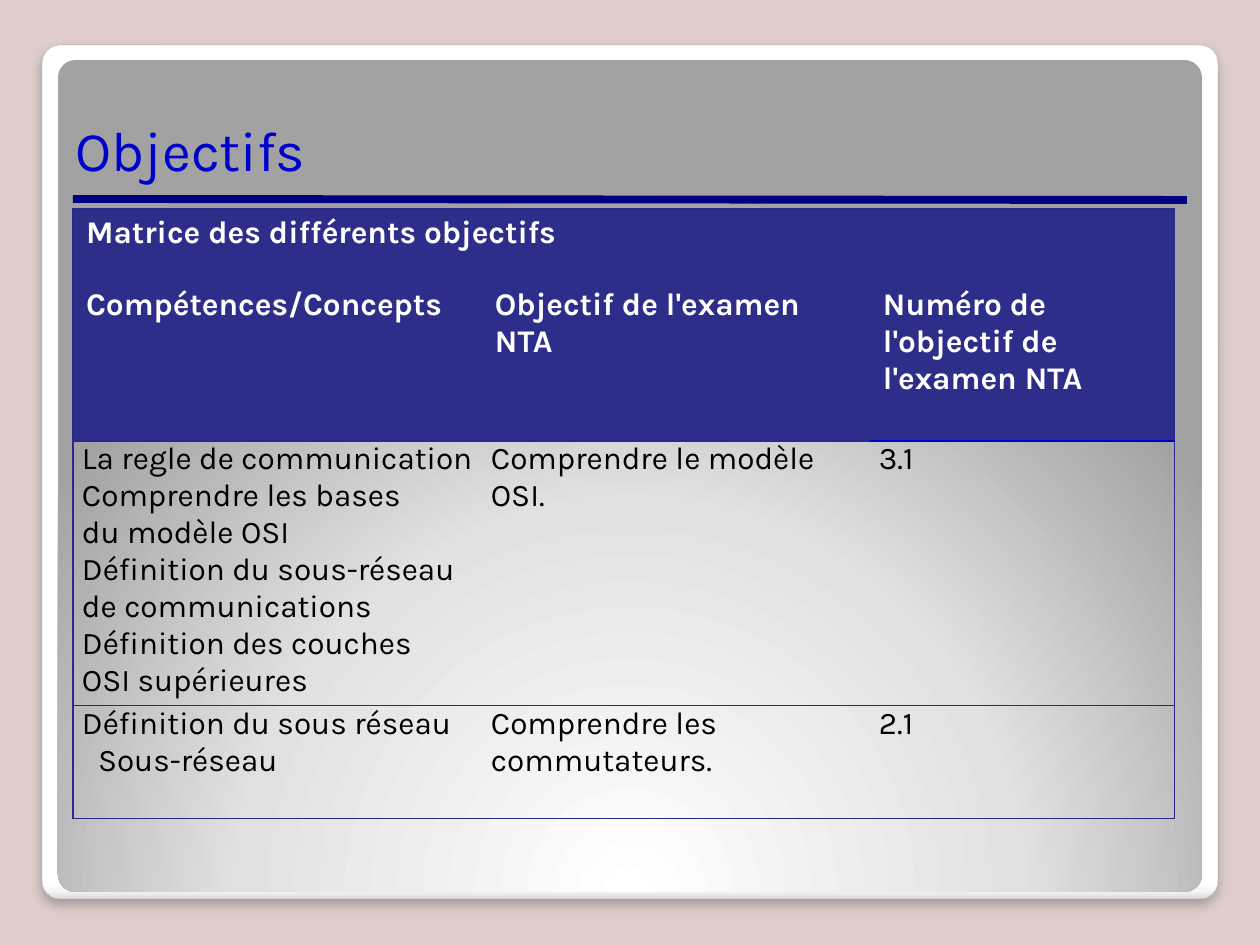
"""Build the objectives slide with its framed panel and matrix table."""
import lxml.etree
import pptx
import pptx.dml.color
import pptx.enum.shapes
import pptx.enum.text
import pptx.oxml.ns
import pptx.util

PX = 914400 / 126
FONT = "Karla"
HUES = {
    "back": "DECDCB", "white": "FFFFFF", "rim": "A4A4A4", "rule": "000080",
    "blue": "0000CC", "head": "2D2D8A", "edge": "292989", "text": "000000",
}
qn = pptx.oxml.ns.qn


def px(*nums):
    return [pptx.util.Emu(round(num * PX)) for num in nums]


def rgb(name):
    return pptx.dml.color.RGBColor.from_string(HUES[name])


deck = pptx.Presentation()
deck.slide_width, deck.slide_height = px(1260, 945)
slide = deck.slides.add_slide(deck.slide_layouts[6])
slide.background.fill.solid()
slide.background.fill.fore_color.rgb = rgb("back")

PANELS = [
    ((42, 45, 1176, 854),
     [(0, "FFFFFF"), (98, "FFFFFF"), (99, "F7F7F7"), (100, "DADADA")], False),
    ((58, 60, 1144, 832),
     [(0, "FFFFFF"), (55, "E1E1E1"), (100, "A2A2A2")], True),
]
for box, stops, round_fill in PANELS:
    panel = slide.shapes.add_shape(
        pptx.enum.shapes.MSO_SHAPE.ROUNDED_RECTANGLE, *px(*box))
    panel.adjustments[0] = 0.021
    panel.shadow.inherit = False
    panel.fill.gradient()
    props = panel._element.spPr
    grad = props.find(qn("a:gradFill"))
    for child in list(grad):
        grad.remove(child)
    ramp = lxml.etree.SubElement(grad, qn("a:gsLst"))
    for spot, hue in stops:
        stop = lxml.etree.SubElement(ramp, qn("a:gs"), pos=str(spot * 1000))
        lxml.etree.SubElement(stop, qn("a:srgbClr"), val=hue)
    if round_fill:
        panel.line.fill.background()
        way = lxml.etree.SubElement(grad, qn("a:path"), {"path": "circle"})
        lxml.etree.SubElement(way, qn("a:fillToRect"),
                              l="50000", t="175000", r="50000", b="-75000")
    else:
        panel.line.color.rgb = rgb("rim")
        panel.line.width = pptx.util.Pt(0.16)
        lxml.etree.SubElement(grad, qn("a:lin"), ang="5400000", scaled="0")
        shade = lxml.etree.SubElement(
            props.find(qn("a:effectLst")), qn("a:outerShdw"),
            blurRad=str(pptx.util.Pt(6)), dist=str(pptx.util.Pt(4)),
            dir="5400000", algn="t", rotWithShape="0")
        tint = lxml.etree.SubElement(shade, qn("a:srgbClr"), val=HUES["text"])
        lxml.etree.SubElement(tint, qn("a:alpha"), val="25000")

rule = slide.shapes.add_connector(
    pptx.enum.shapes.MSO_CONNECTOR.STRAIGHT, *px(73, 199, 1187, 200))
rule.line.color.rgb = rgb("rule")
rule.line.width = pptx.util.Pt(4.5)
lxml.etree.SubElement(rule._element.spPr, qn("a:effectLst"))

title = slide.shapes.add_textbox(*px(63, 63, 1134, 126)).text_frame
title.word_wrap = True
title.vertical_anchor = pptx.enum.text.MSO_ANCHOR.BOTTOM
title.text = "Objectifs"
font = title.paragraphs[0].runs[0].font
font.name, font.size = FONT, pptx.util.Pt(32)
font.color.rgb = rgb("blue")

ROWS = [
    ["Matrice des différents objectifs", "", ""],
    ["Compétences/Concepts", "Objectif de l'examen NTA",
     "Numéro de l'objectif de l'examen NTA"],
    ["La regle de communication\nComprendre les bases\n"
     "du modèle OSI \vDéfinition du sous-réseau de communications\n"
     "Définition des couches \vOSI supérieures",
     "Comprendre le modèle OSI.", "3.1"],
    ["Définition du sous réseau Sous-réseau",
     "Comprendre les commutateurs.", "2.1"],
]
WIDE = [409, 388, 305]
HIGH = [72, 160, 259, 113]
grid = slide.shapes.add_table(
    len(HIGH), len(WIDE), *px(73, 209, sum(WIDE), sum(HIGH))).table
grid.first_row = grid.horz_banding = False
for col, size in zip(grid.columns, px(*WIDE)):
    col.width = size
for row, size in zip(grid.rows, px(*HIGH)):
    row.height = size
grid.cell(0, 0).merge(grid.cell(0, 2))

for r, texts in enumerate(ROWS):
    head = r < 2
    for c, text in enumerate(texts):
        cell = grid.cell(r, c)
        cell.margin_left, cell.margin_right = px(*[13 if head else 9] * 2)
        cell.margin_top, cell.margin_bottom = px(*[6 if head else 0] * 2)
        edges = {
            "L": "edge" if c == 0 else None,
            "R": ("blue" if r == 0 else "edge") if c == 2 else None,
            "T": "edge" if r != 1 else None,
            "B": "edge" if r != 0 else None,
        }
        if c == 2 and r in (1, 2):
            edges["B" if r == 1 else "T"] = "blue"
        props = cell._tc.get_or_add_tcPr()
        for side, hue in edges.items():
            width = pptx.util.Pt(1 if hue == "blue" else 0.75)
            line = lxml.etree.SubElement(props, qn("a:ln" + side), w=str(width))
            if hue:
                fill = lxml.etree.SubElement(line, qn("a:solidFill"))
                lxml.etree.SubElement(fill, qn("a:srgbClr"), val=HUES[hue])
            else:
                lxml.etree.SubElement(line, qn("a:noFill"))
        if head:
            cell.fill.solid()
            cell.fill.fore_color.rgb = rgb("head")
        else:
            cell.fill.background()
        if not text:
            continue
        cell.text_frame.text = text
        for para in cell.text_frame.paragraphs:
            if (r, c) == (3, 0):
                hang = px(16)[0]
                para._p.get_or_add_pPr().set("marL", str(hang))
                para._p.get_or_add_pPr().set("indent", str(-hang))
            for run in para.runs:
                run.font.name, run.font.size = FONT, pptx.util.Pt(18)
                run.font.bold = head
                run.font.color.rgb = rgb("white" if head else "text")

deck.save("out.pptx")
